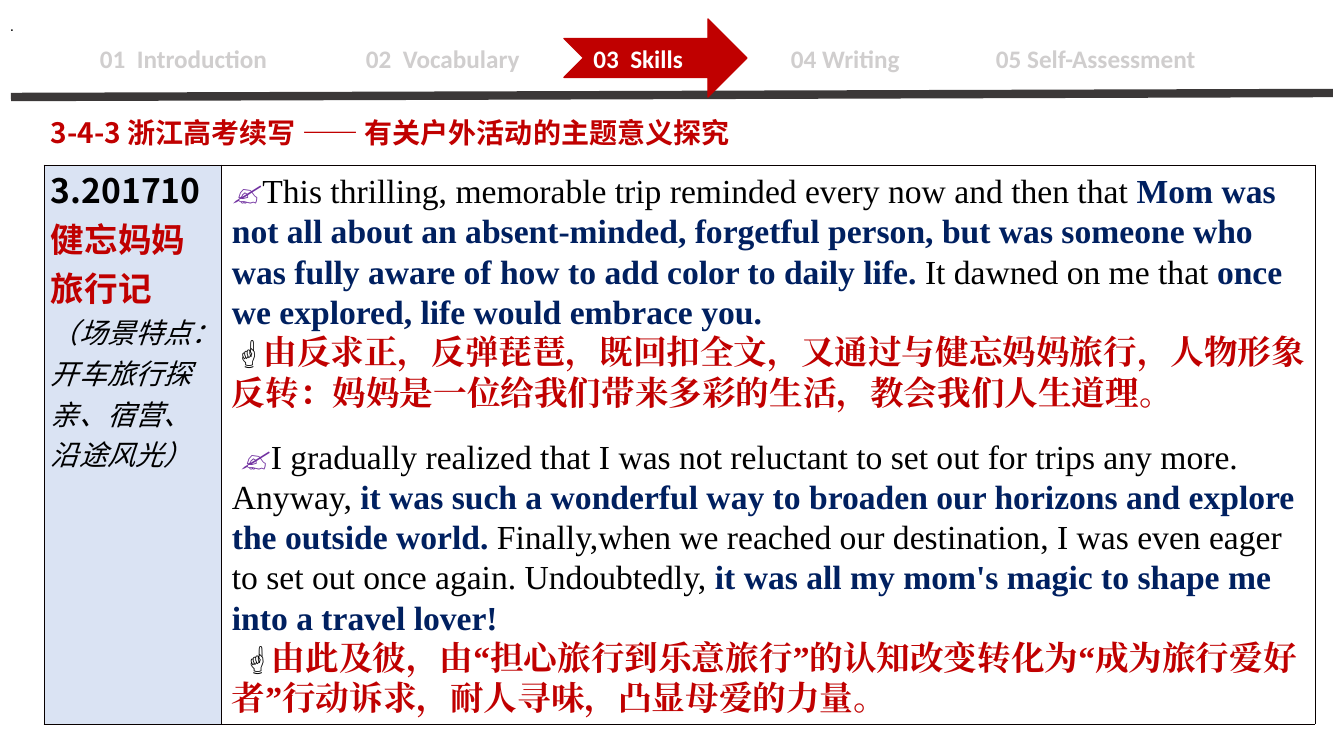
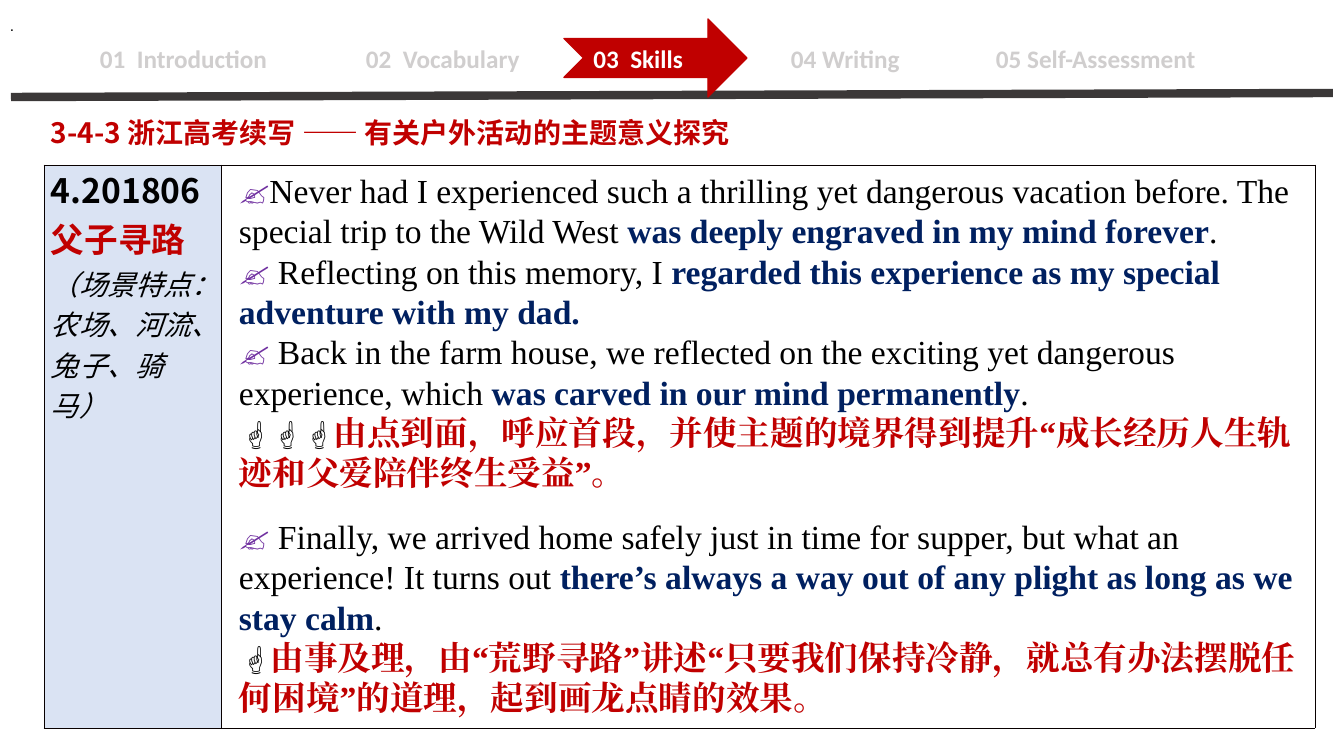
"""Build two slides on continuation writing about outdoor activities."""
from dataclasses import dataclass

from lxml import etree
from pptx import Presentation
from pptx import util as u
from pptx.dml.color import RGBColor
from pptx.enum import shapes, text
from pptx.oxml import ns

PX = 914400 / 100.8


@dataclass(frozen=True)
class Theme:
    red: str = "C00000"
    navy: str = "002060"
    purple: str = "7030A0"
    black: str = "000000"
    white: str = "FFFFFF"
    grey: str = "D0CECE"
    rule: str = "3B3838"
    border: str = "080000"
    tint: str = "DAE3F3"
    cjk: str = "Noto Sans CJK SC"
    serif: str = "Times New Roman"
    sans: str = "Calibri"
    body: int = 24
    title: int = 20
    nav: int = 18
    dot: int = 11


T = Theme()

STYLES = {
    "nav": (T.sans, T.nav, T.grey, True, False),
    "active": (T.sans, T.nav, T.white, True, False),
    "title": (T.cjk, T.title, T.red, True, False),
    "dot": ("Arial", T.dot, T.black, False, False),
    "exam": (T.cjk, T.body, T.black, True, False),
    "topic": (T.cjk, T.body, T.red, True, False),
    "scene": (T.cjk, T.title, T.black, False, True),
    "pen": (T.serif, T.body, T.purple, False, False),
    "plain": (T.serif, T.body, T.black, False, False),
    "key": (T.serif, T.body, T.navy, True, False),
    "hand": (T.serif, T.body, T.black, True, False),
    "note": (T.serif, T.body, T.red, True, False),
}

NAV = [("01  Introduction", 100), ("02  Vocabulary", 366),
       ("04 Writing", 791), ("05 Self-Assessment", 996)]
TITLE = "3-4-3 浙江高考续写 —— 有关户外活动的主题意义探究"

SLIDES = [
    dict(
        height=559, left=222, width=1093, exam="3.201710", topic="健忘妈妈旅行记",
        scene="（场景特点：开车旅行探亲、宿营、沿途风光）",
        groups=[
            [
                [("pen", "✍"),
                 ("plain", "This thrilling, memorable trip reminded every now and then that"),
                 ("key", " Mom was not all about an absent-minded, forgetful person, but was "
                         "someone who was fully aware of how to add color to daily life. "),
                 ("plain", "It dawned on me that"),
                 ("key", " once we explored, life would embrace you.")],
                [("hand", "☝"),
                 ("note", "由反求正，反弹琵琶，既回扣全文，又通过与健忘妈妈旅行，人物形象反转："
                          "妈妈是一位给我们带来多彩的生活，教会我们人生道理。")],
            ],
            [
                [("plain", " "), ("pen", "✍"),
                 ("plain", "I gradually realized that I was not reluctant to set out for trips "
                           "any more. Anyway,"),
                 ("key", " it was such a wonderful way to broaden our horizons and explore "
                         "the outside world."),
                 ("plain", " Finally,when we reached our destination, I was even eager to set "
                           "out once again. Undoubtedly, "),
                 ("key", "it was all my mom's magic to shape me into a travel lover!")],
                [("hand", " ☝"),
                 ("note", "由此及彼，由“担心旅行到乐意旅行”的认知改变转化为“成为旅行爱好者”"
                          "行动诉求，耐人寻味，凸显母爱的力量。")],
            ],
        ],
    ),
    dict(
        height=563, left=229, width=1086, exam="4.201806", topic="父子寻路",
        scene="（场景特点：农场、河流、兔子、骑马）",
        groups=[
            [
                [("pen", "✍"),
                 ("plain", "Never had I experienced such a thrilling yet dangerous vacation "
                           "before. The special trip to the Wild West "),
                 ("key", "was deeply engraved in my mind forever"), ("plain", ".")],
                [("pen", "✍ "), ("plain", "Reflecting on this memory, I "),
                 ("key", "regarded this experience as my special adventure with my dad.")],
                [("pen", "✍ "),
                 ("plain", "Back in the farm house, we reflected on the exciting yet dangerous "
                           "experience, which "),
                 ("key", "was carved in our mind permanently"), ("plain", ".")],
                [("hand", "☝☝☝"),
                 ("note", "由点到面，呼应首段，并使主题的境界得到提升“成长经历人生轨迹和"
                          "父爱陪伴终生受益”。")],
            ],
            [
                [("pen", "✍ "),
                 ("plain", "Finally, we arrived home safely just in time for supper, but what "
                           "an experience! It turns out "),
                 ("key", "there’s always a way out of any plight as long as we stay calm"),
                 ("plain", ".")],
                [("hand", "☝"),
                 ("note", "由事及理，由“荒野寻路”讲述“只要我们保持冷静，就总有办法摆脱任何困境”"
                          "的道理，起到画龙点睛的效果。")],
            ],
        ],
    ),
]


def px(*lengths):
    return [u.Emu(round(n * PX)) for n in lengths]


def add_run(p, style, words):
    name, size, color, bold, italic = STYLES[style]
    r = p.add_run()
    r.text = words
    f = r.font
    f.name, f.size, f.bold, f.italic = name, u.Pt(size), bold, italic
    f.color.rgb = RGBColor.from_string(color)
    ea = etree.SubElement(r._r.get_or_add_rPr(), ns.qn("a:ea"))
    ea.set("typeface", name)


prs = Presentation()
prs.slide_width, prs.slide_height = px(1344, 756)

for data in SLIDES:
    s = prs.slides.add_slide(prs.slide_layouts[6])

    rule = s.shapes.add_connector(shapes.MSO_CONNECTOR.STRAIGHT, *px(11, 97, 1333, 93))
    rule.line.color.rgb = RGBColor.from_string(T.rule)
    rule.line.width = u.Pt(6)
    etree.SubElement(rule._element.spPr, ns.qn("a:effectLst"))

    start = NAV[0][1]
    nav = s.shapes.add_shape(shapes.MSO_SHAPE.RECTANGLE, *px(68, 28, 1227, 50))
    nav.shadow.inherit = False
    nav.fill.solid()
    nav.fill.fore_color.rgb = RGBColor.from_string(T.white)
    nav.line.fill.background()
    tf = nav.text_frame
    tf.vertical_anchor = text.MSO_ANCHOR.TOP
    tf.margin_left, tf.margin_top = px(start - 68, 15)
    tf.margin_bottom = 0
    p = tf.paragraphs[0]
    p.alignment = text.PP_ALIGN.LEFT
    tabs = etree.SubElement(p._p.get_or_add_pPr(), ns.qn("a:tabLst"))
    for label, x in NAV:
        if x > start:
            etree.SubElement(tabs, ns.qn("a:tab"), pos=str(px(x - start)[0]), algn="l")
            label = "\t" + label
        add_run(p, "nav", label)

    tf = s.shapes.add_textbox(*px(41, 111, 1287, 44)).text_frame
    tf.word_wrap = True
    add_run(tf.paragraphs[0], "title", TITLE)

    tf = s.shapes.add_textbox(*px(0, 11, 29, 29)).text_frame
    tf.word_wrap = False
    tf.vertical_anchor = text.MSO_ANCHOR.MIDDLE
    add_run(tf.paragraphs[0], "dot", ".")

    arrow = s.shapes.add_shape(shapes.MSO_SHAPE.NOTCHED_RIGHT_ARROW, *px(564, 19, 183, 78))
    arrow.shadow.inherit = False
    arrow.fill.solid()
    arrow.fill.fore_color.rgb = RGBColor.from_string(T.red)
    arrow.line.color.rgb = RGBColor.from_string(T.red)
    arrow.line.width = u.Pt(1)
    tf = arrow.text_frame
    tf.vertical_anchor = text.MSO_ANCHOR.MIDDLE
    p = tf.paragraphs[0]
    p.alignment = text.PP_ALIGN.LEFT
    add_run(p, "active", "03  Skills")

    tbl = s.shapes.add_table(1, 2, *px(44, 165, 1271, data["height"])).table
    tbl.first_row = tbl.horz_banding = False
    tbl.columns[0].width, tbl.columns[1].width = px(177, 1094)
    label, blank = tbl.cell(0, 0), tbl.cell(0, 1)
    label.fill.solid()
    label.fill.fore_color.rgb = RGBColor.from_string(T.tint)
    blank.fill.background()
    label.margin_left, label.margin_right, label.margin_top, label.margin_bottom = px(7, 7, 0, 0)
    for cell in (label, blank):
        tcPr = cell._tc.get_or_add_tcPr()
        for i, side in enumerate(("lnL", "lnR", "lnT", "lnB")):
            ln = etree.Element(ns.qn("a:" + side), w=str(u.Pt(0.5)))
            fill = etree.SubElement(ln, ns.qn("a:solidFill"))
            etree.SubElement(fill, ns.qn("a:srgbClr"), val=T.border)
            tcPr.insert(i, ln)

    tf = label.text_frame
    for i, style in enumerate(("exam", "topic", "scene")):
        p = tf.add_paragraph() if i else tf.paragraphs[0]
        add_run(p, style, data[style])

    tf = s.shapes.add_textbox(*px(data["left"], 165, data["width"], 563)).text_frame
    tf.word_wrap = True
    for g, group in enumerate(data["groups"]):
        for i, runs in enumerate(group):
            p = tf.add_paragraph() if g or i else tf.paragraphs[0]
            p.line_spacing = u.Pt(28.8)
            if g and not i:
                p.space_before = u.Pt(16.8)
            for style, words in runs:
                add_run(p, style, words)

prs.save("out.pptx")
